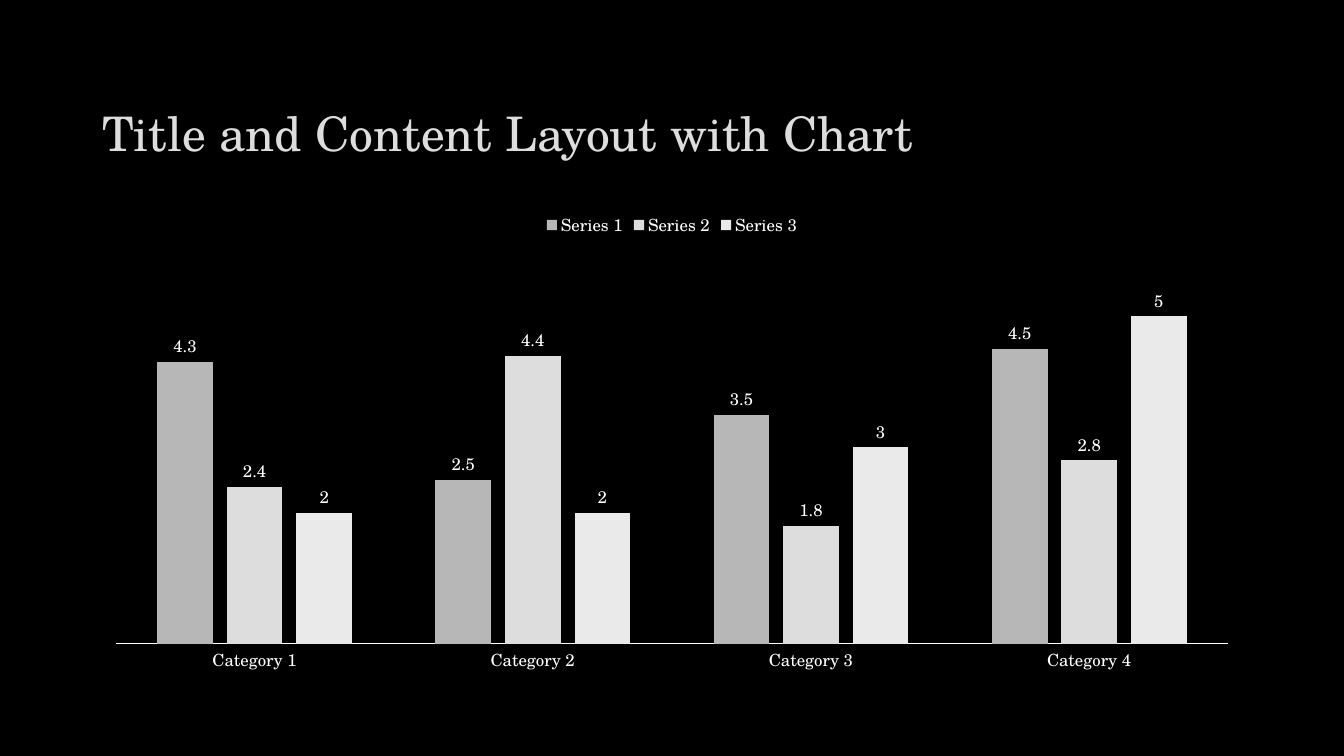
from pptx import Presentation
from pptx.chart.data import CategoryChartData
from pptx.dml.color import RGBColor as RGB
from pptx.enum.chart import (XL_CHART_TYPE as CHART, XL_LABEL_POSITION as LABEL,
                             XL_LEGEND_POSITION as LEGEND, XL_TICK_MARK as TICK)
from pptx.enum.text import MSO_ANCHOR as ANCHOR
from pptx.util import Pt

COLORS = {"bg": "000000", "title": "DDDDDD", "text": "FFFFFF",
          "Series 1": "B7B7B7", "Series 2": "DDDDDD", "Series 3": "EAEAEA"}
FONT = "TeX Gyre Schola"
CATEGORIES = ["Category 1", "Category 2", "Category 3", "Category 4"]
SERIES = {"Series 1": [4.3, 2.5, 3.5, 4.5],
          "Series 2": [2.4, 4.4, 1.8, 2.8],
          "Series 3": [2, 2, 3, 5]}


def rgb(name):
    return RGB.from_string(COLORS[name])


def set_attrs(obj, **values):
    for name, value in values.items():
        setattr(obj, name, value)


def set_font(font, size, color):
    set_attrs(font, name=FONT, size=Pt(size), bold=False)
    font.color.rgb = rgb(color)


def add_title(s, text, x, y, w, h):
    tf = s.shapes.add_textbox(Pt(x), Pt(y), Pt(w), Pt(h)).text_frame
    set_attrs(tf, word_wrap=True, vertical_anchor=ANCHOR.BOTTOM)
    p = tf.paragraphs[0]
    p.line_spacing = 0.9
    r = p.add_run()
    r.text = text
    set_font(r.font, 34, "title")


def add_column_chart(s, x, y, w, h):
    data = CategoryChartData()
    data.categories = CATEGORIES
    for name, values in SERIES.items():
        data.add_series(name, values)
    chart = s.shapes.add_chart(CHART.COLUMN_CLUSTERED, Pt(x), Pt(y), Pt(w), Pt(h), data).chart
    chart.has_title = False
    set_font(chart.font, 12, "text")

    # Legend
    chart.has_legend = True
    set_attrs(chart.legend, position=LEGEND.TOP, include_in_layout=False)
    set_font(chart.legend.font, 12, "text")

    # Axes
    cat_axis, val_axis = chart.category_axis, chart.value_axis
    set_attrs(cat_axis, major_tick_mark=TICK.NONE, minor_tick_mark=TICK.NONE)
    set_font(cat_axis.tick_labels.font, 12, "text")
    line = cat_axis.format.line
    line.width = Pt(0.75)
    line.color.rgb = rgb("text")
    set_attrs(val_axis, visible=False, has_major_gridlines=False,
              minimum_scale=0, maximum_scale=6)

    # Columns and their values
    plot = chart.plots[0]
    set_attrs(plot, gap_width=150, overlap=-25, vary_by_categories=False)
    for series in plot.series:
        series.format.fill.solid()
        series.format.fill.fore_color.rgb = rgb(series.name)
        labels = series.data_labels
        set_attrs(labels, show_value=True, position=LABEL.OUTSIDE_END)
        set_font(labels.font, 12, "text")


def main():
    prs = Presentation()
    set_attrs(prs, slide_width=Pt(960), slide_height=Pt(540))
    s = prs.slides.add_slide(prs.slide_layouts[6])
    s.background.fill.solid()
    s.background.fill.fore_color.rgb = rgb("bg")

    left, width = 66, 828
    add_title(s, "Title and Content Layout with Chart", left, 29, width, 90)
    add_column_chart(s, left, 144, width, 343)
    prs.save("out.pptx")


if __name__ == "__main__":
    main()
